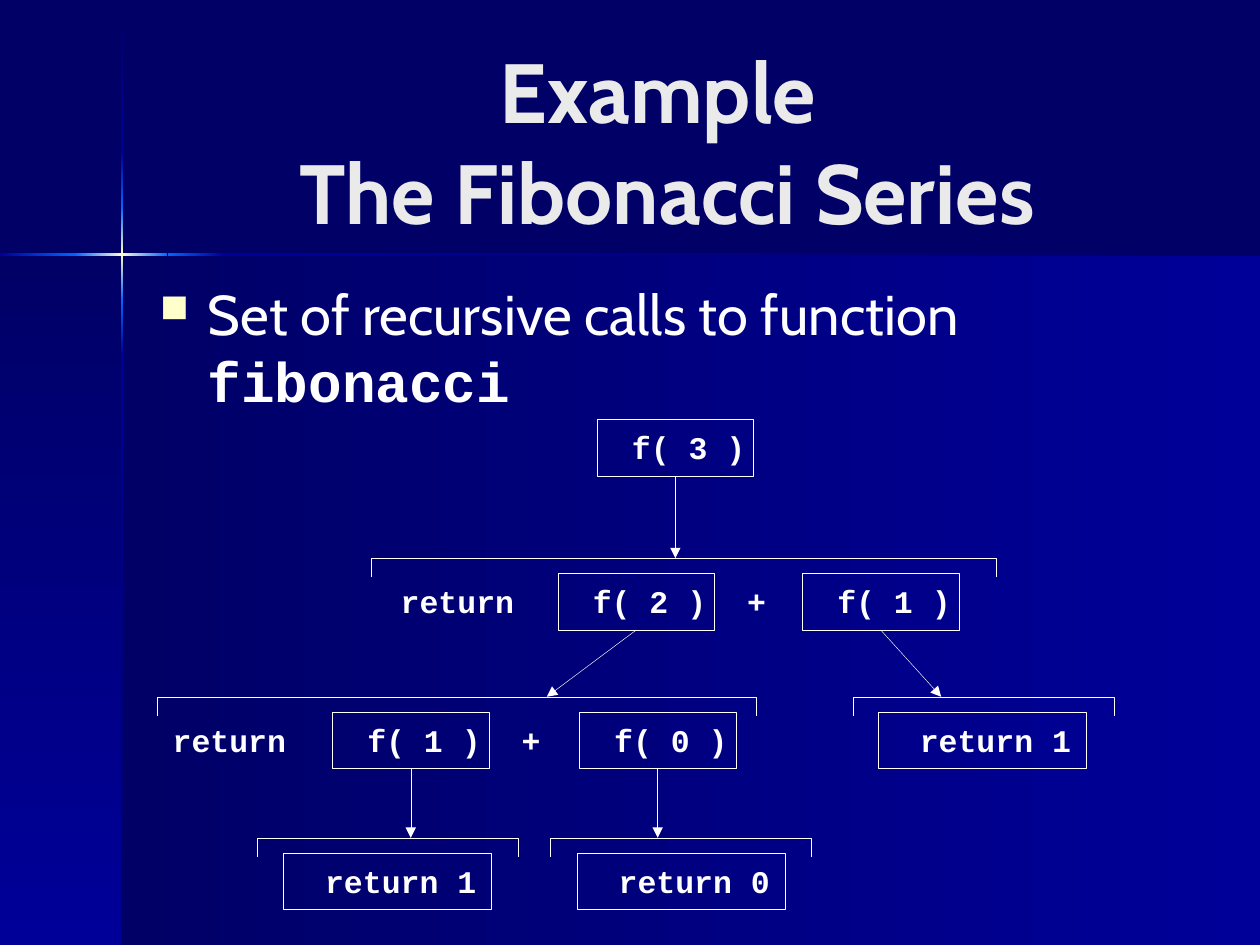
"""Build a slide showing the recursive calls of the Fibonacci function."""
from copy import deepcopy

from lxml.etree import SubElement
from pptx import Presentation
from pptx.dml.color import RGBColor
from pptx.enum.shapes import MSO_CONNECTOR as CONN, MSO_SHAPE as SHAPE
from pptx.enum.text import MSO_ANCHOR as ANCHOR, MSO_AUTO_SIZE as FIT, PP_ALIGN as ALIGN
from pptx.oxml.ns import qn
from pptx.util import Inches, Pt

W, H = 10, 7.5
COLORS = {"navy": "000066", "blue": "000099", "glow": "0066FF", "cream": "FFFFCC",
          "title": "EAEAEA", "white": "FFFFFF"}
SANS, MONO = "Cabin", "Courier New"

TITLE = "Example \vThe Fibonacci Series"
BODY = [("Set of recursive calls to function ", SANS, False), ("fibonacci", MONO, True)]
FRAME_X, FRAME_W = 1.17, 8.25

CROSS_X, CROSS_Y, BEAM = 0.96, 2.01, 0.02
PANELS = [
    (0.97, 2.02, 9.03, 5.48, ("navy", "blue"), 0),
    (0, 2.02, 0.97, 5.48, ("navy", "blue"), 90),
]
V_BEAMS = [
    (0.01, 1.21, ("navy", "blue")),
    (2.82, H, ("blue", "navy")),
    (2.38, 2.82, ("glow", "blue")),
    (1.21, 1.65, ("blue", "glow")),
    (1.65, 2.38, ("glow", "cream", "glow")),
]
H_BEAMS = [
    (1.77, W, ("blue", "navy")),
    (0, 0.61, ("blue", "glow")),
    (1.33, 1.77, ("glow", "blue")),
    (0.6, 1.33, ("glow", "cream", "glow")),
]

ROWS = [3.33, 4.55, 5.65, 6.77]
BOX_H, CALL_W, RETURN_W = 0.45, 1.24, 1.65
RISE, LEG = 0.12, 0.15
BOXES = {
    "f3": ("f( 3 )", 0, 4.74, CALL_W),
    "f2": ("f( 2 )", 1, 4.43, CALL_W),
    "f1 right": ("f( 1 )", 1, 6.37, CALL_W),
    "f1 left": ("f( 1 )", 2, 2.64, CALL_W),
    "f0": ("f( 0 )", 2, 4.6, CALL_W),
    "return right": ("return 1", 2, 6.97, RETURN_W),
    "return left": ("return 1", 3, 2.25, RETURN_W),
    "return zero": ("return 0", 3, 4.58, RETURN_W),
}
LABELS = [("return", 1, 3.18, 1.31), ("+", 1, 5.93, 0.28),
          ("return", 2, 1.37, 1.31), ("+", 2, 4.14, 0.28)]
BRACKETS = [(1, 2.95, 4.96), (2, 1.25, 4.75), (2, 6.77, 2.07), (3, 2.04, 2.07), (3, 4.37, 2.07)]
ARROWS = [("f3", 1, None), ("f2", 2, 4.34), ("f1 right", 2, 7.47),
          ("f1 left", 3, None), ("f0", 3, None)]


def rgb(name):
    return RGBColor.from_string(COLORS[name])


def inches(*values):
    return [Inches(v) for v in values]


def setup(target, **values):
    for name, value in values.items():
        setattr(target, name, value)


def style(font, size, name, color="white", bold=True):
    setup(font, size=Pt(size), name=name, bold=bold)
    font.color.rgb = rgb(color)


def outline(shape):
    shape.line.color.rgb = rgb("white")
    shape.line.width = Pt(0.25)


def gradient_box(s, x, y, w, h, colors, angle):
    sp = s.shapes.add_shape(SHAPE.RECTANGLE, *inches(x, y, w, h))
    sp.shadow.inherit = False
    sp.line.fill.background()
    sp.fill.gradient()
    sp.fill.gradient_angle = -angle % 360
    stops = sp._element.spPr.find(".//" + qn("a:gsLst"))
    if len(colors) == 3:
        stops.insert(1, deepcopy(stops[0]))
    for i, (stop, color) in enumerate(zip(sp.fill.gradient_stops, colors)):
        stop.position = i / (len(colors) - 1)
        stop.color.rgb = rgb(color)


def code_text(sp, text, align, left=0, top=0):
    tf = sp.text_frame
    setup(tf, word_wrap=True, vertical_anchor=ANCHOR.TOP, margin_left=Inches(left),
          margin_top=Inches(top), margin_right=0, margin_bottom=0)
    p = tf.paragraphs[0]
    p.text, p.alignment = text, align
    style(p.runs[0].font, 18, MONO)


def add_box(s, text, row, x, w):
    sp = s.shapes.add_shape(SHAPE.RECTANGLE, *inches(x, ROWS[row], w, BOX_H))
    sp.shadow.inherit = False
    sp.fill.background()
    outline(sp)
    code_text(sp, text, ALIGN.CENTER, left=0.21, top=0.07)
    return sp


def add_bracket(s, row, x, w):
    y = ROWS[row] - RISE
    pen = s.shapes.build_freeform(Inches(x + w), Inches(y + LEG))
    pen.add_line_segments([inches(*pt) for pt in [(x + w, y), (x, y), (x, y + LEG)]], close=False)
    sp = pen.convert_to_shape()
    sp.shadow.inherit = False
    sp.fill.background()
    outline(sp)


def add_arrow(s, box, row, x):
    center = box.left + box.width // 2
    end_x = center if x is None else Inches(x)
    line = s.shapes.add_connector(CONN.STRAIGHT, center, box.top + box.height,
                                  end_x, Inches(ROWS[row] - RISE))
    line.begin_connect(box, 2)
    outline(line)
    SubElement(line.line._get_or_add_ln(), qn("a:tailEnd"), type="triangle")
    SubElement(line._element.spPr, qn("a:effectLst"))


def add_title(s):
    sp = s.shapes.title
    setup(sp, **dict(zip(("left", "top", "width", "height"), inches(FRAME_X, 0.33, FRAME_W, 1.57))))
    tf = sp.text_frame
    tf.text = TITLE
    setup(tf, auto_size=FIT.NONE, word_wrap=True, vertical_anchor=ANCHOR.MIDDLE)
    p = tf.paragraphs[0]
    p.alignment = ALIGN.CENTER
    for r in p.runs:
        style(r.font, 48, SANS, "title")


def add_body(s):
    tf = s.shapes.add_textbox(*inches(FRAME_X, 2.17, FRAME_W, 1.2)).text_frame
    tf.word_wrap = True
    p = tf.paragraphs[0]
    props = p._p.get_or_add_pPr()
    indent = Inches(0.38)
    props.set("marL", str(indent))
    props.set("indent", str(-indent))
    SubElement(SubElement(props, qn("a:buClr")), qn("a:srgbClr"), val=COLORS["cream"])
    SubElement(props, qn("a:buSzPct"), val="70000")
    SubElement(props, qn("a:buChar"), char="■")
    for text, face, bold in BODY:
        r = p.add_run()
        r.text = text
        style(r.font, 32, face, bold=bold)


def main():
    prs = Presentation()
    prs.slide_width, prs.slide_height = inches(W, H)
    s = prs.slides.add_slide(prs.slide_layouts[5])
    s.background.fill.solid()
    s.background.fill.fore_color.rgb = rgb("navy")
    for panel in PANELS:
        gradient_box(s, *panel)
    for start, end, colors in V_BEAMS:
        gradient_box(s, CROSS_X, start, BEAM, end - start, colors, 90)
    for start, end, colors in H_BEAMS:
        gradient_box(s, start, CROSS_Y, end - start, BEAM, colors, 0)
    add_title(s)
    add_body(s)
    for bracket in BRACKETS:
        add_bracket(s, *bracket)
    boxes = {key: add_box(s, *box) for key, box in BOXES.items()}
    for key, row, x in ARROWS:
        add_arrow(s, boxes[key], row, x)
    for text, row, x, w in LABELS:
        label = s.shapes.add_textbox(*inches(x, ROWS[row] + 0.07, w, 0.35))
        code_text(label, text, ALIGN.LEFT)
    prs.save("out.pptx")


if __name__ == "__main__":
    main()
